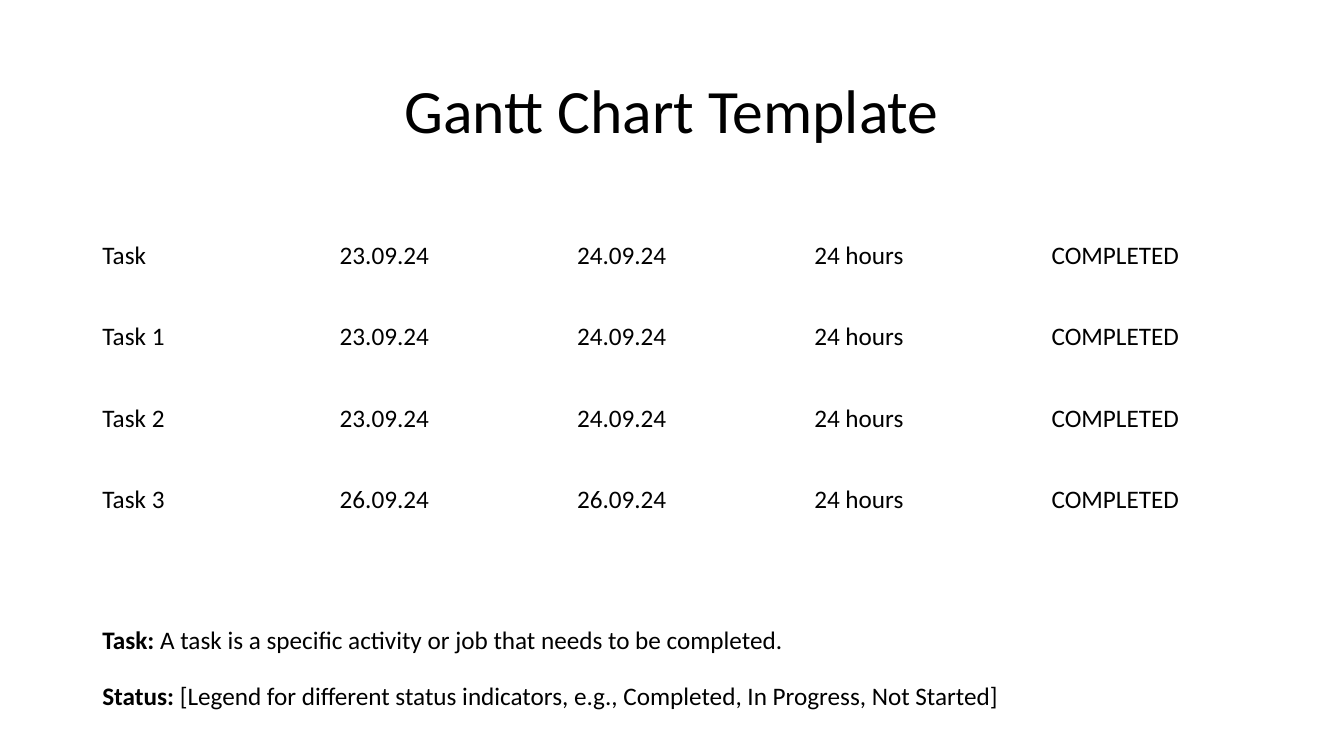
from pptx import Presentation
from pptx.dml.color import RGBColor
from pptx.enum.text import MSO_ANCHOR, PP_ALIGN
from pptx.util import Pt

TITLE = "Gantt Chart Template"
TASKS = [
    ("Task", "23.09.24", "24.09.24", "24 hours", "COMPLETED"),
    ("Task 1", "23.09.24", "24.09.24", "24 hours", "COMPLETED"),
    ("Task 2", "23.09.24", "24.09.24", "24 hours", "COMPLETED"),
    ("Task 3", "26.09.24", "26.09.24", "24 hours", "COMPLETED"),
]
LEGEND = [
    ("Task:", " A task is a specific activity or job that needs to be completed."),
    ("Status:", " [Legend for different status indicators, e.g., Completed, "
                "In Progress, Not Started]"),
]

COLORS = {"text": "000000", "page": "FFFFFF"}
FONT = "Calibri"
MIDDLE, TOP = MSO_ANCHOR.MIDDLE, MSO_ANCHOR.TOP
LEFT, CENTER = PP_ALIGN.LEFT, PP_ALIGN.CENTER

MARGIN = 66
COLUMN_WIDTH, ROW_HEIGHT = 169.5, 58.2
TABLE_TOP = 153.4
LEGEND_TOP, LEGEND_STEP = 442.2, 40.2


def write(para, text, size=18, bold=False, align=LEFT):
    para.alignment = align
    span = para.add_run()
    span.text = text
    span.font.name = FONT
    span.font.size = Pt(size)
    span.font.bold = bold
    span.font.color.rgb = RGBColor.from_string(COLORS["text"])


def add_box(page, top, width, height, anchor=TOP):
    """Add a wrapping text box at the left margin and return its paragraph."""
    box = page.shapes.add_textbox(Pt(MARGIN), Pt(top), Pt(width), Pt(height))
    box.text_frame.word_wrap = True
    box.text_frame.vertical_anchor = anchor
    return box.text_frame.paragraphs[0]


def add_task_table(page):
    row_count, column_count = len(TASKS), len(TASKS[0])
    table = page.shapes.add_table(
        row_count, column_count, Pt(MARGIN), Pt(TABLE_TOP),
        Pt(COLUMN_WIDTH * column_count), Pt(ROW_HEIGHT * row_count)).table
    table.first_row = table.horz_banding = False
    for column in table.columns:
        column.width = Pt(COLUMN_WIDTH)
    for row, values in zip(table.rows, TASKS):
        row.height = Pt(ROW_HEIGHT)
        for cell, value in zip(row.cells, values):
            cell.fill.background()
            cell.vertical_anchor = MIDDLE
            write(cell.text_frame.paragraphs[0], value)


def main():
    deck = Presentation()
    deck.slide_width, deck.slide_height = Pt(960), Pt(540)
    page = deck.slides.add_slide(deck.slide_layouts[6])
    page.background.fill.solid()
    page.background.fill.fore_color.rgb = RGBColor.from_string(COLORS["page"])

    title = add_box(page, 28.75, 828, 104.4, MIDDLE)
    title.line_spacing = 0.9
    write(title, TITLE, size=44, align=CENTER)

    add_task_table(page)

    for index, (term, meaning) in enumerate(LEGEND):
        para = add_box(page, LEGEND_TOP + index * LEGEND_STEP, 769, 29)
        write(para, term, bold=True)
        write(para, meaning)

    deck.save("out.pptx")


if __name__ == "__main__":
    main()
